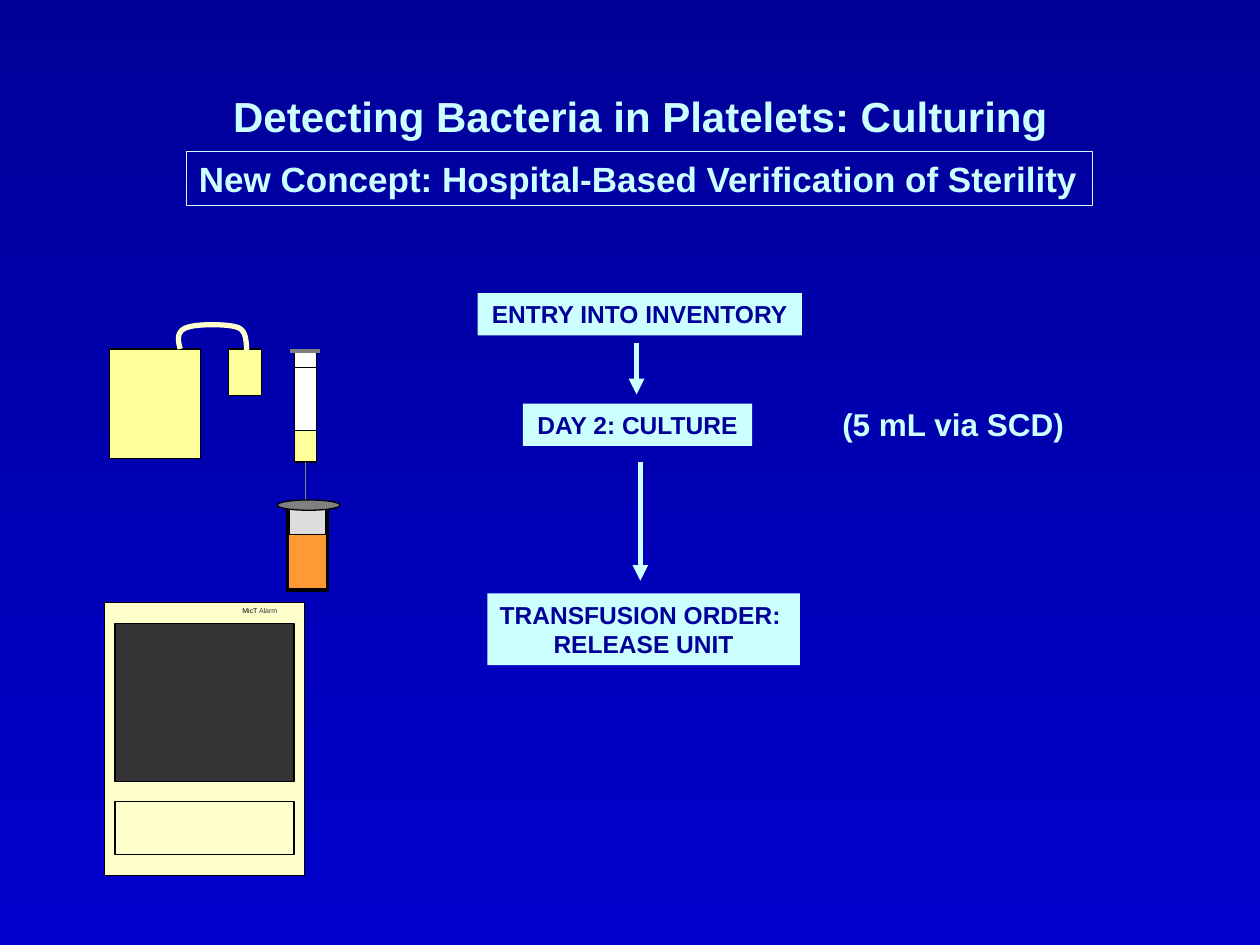
from dataclasses import dataclass

from lxml.etree import SubElement
from pptx import Presentation
from pptx.dml.color import RGBColor
from pptx.enum.shapes import MSO_CONNECTOR as Connector, MSO_SHAPE as Shape
from pptx.enum.text import MSO_ANCHOR as Anchor, PP_ALIGN as Align
from pptx.oxml.ns import qn
from pptx.util import Pt


@dataclass(frozen=True)
class Theme:
    font: str = "Arial"
    night: str = "000099"
    blue: str = "0000CC"
    ice: str = "CCFFFF"
    black: str = "000000"
    white: str = "FFFFFF"
    screen: str = "333333"
    metal: str = "808080"
    glass: str = "DDDDDD"
    broth: str = "FF9933"
    cream: str = "FFFFCC"
    platelets: str = "FFFF99"
    title_size: float = 24
    subtitle_size: float = 20
    note_size: float = 18
    step_size: float = 14
    brand_size: float = 4


theme = Theme()
rgb = RGBColor.from_string

deck = Presentation()
deck.slide_width, deck.slide_height = Pt(720), Pt(540)
page = deck.slides.add_slide(deck.slide_layouts[5])
backdrop = page.background.fill
backdrop.gradient()
backdrop.gradient_angle = 270
for stop, position, color in zip(backdrop.gradient_stops, (0, 1), (theme.night, theme.blue)):
    stop.position = position
    stop.color.rgb = rgb(color)


def write(box, lines, size, color, bold=True, align=Align.LEFT):
    frame = box.text_frame
    frame.text = "\n".join(lines)
    frame.word_wrap = False
    frame.vertical_anchor = Anchor.TOP
    for para in frame.paragraphs:
        para.alignment = align
        para.font.name = theme.font
        para.font.size = Pt(size)
        para.font.bold = bold
        para.font.color.rgb = rgb(color)


def draw(kind, bounds, fill=None, line=theme.black, weight=0.75):
    shape = page.shapes.add_shape(kind, *map(Pt, bounds))
    shape.shadow.inherit = False
    if fill:
        shape.fill.solid()
        shape.fill.fore_color.rgb = rgb(fill)
    else:
        shape.fill.background()
    if line:
        shape.line.color.rgb = rgb(line)
        shape.line.width = Pt(weight)
    else:
        shape.line.fill.background()
    return shape


# Headings and note
title = page.shapes.title
title.left, title.top, title.width, title.height = map(Pt, (126, 48.24, 490, 36))
write(title, ["Detecting Bacteria in Platelets: Culturing"], theme.title_size, theme.ice)

subtitle = draw(Shape.RECTANGLE, (106.56, 86.4, 517.68, 31.2), line=theme.ice)
write(subtitle, ["New Concept: Hospital-Based Verification of Sterility"],
      theme.subtitle_size, theme.ice)

note = page.shapes.add_textbox(*map(Pt, (474.25, 227.75, 141.12, 28.8)))
write(note, ["(5 mL via SCD)"], theme.note_size, theme.ice)

# Culture instrument, syringe and platelet bags
barrel_left, barrel_width = 168.25, 12.5
for bounds, fill in [
    ((59.76, 344.16, 114.24, 156.24), theme.cream),
    ((65.75, 356.4, 102.25, 90), theme.screen),
    ((65.75, 457.9, 102.25, 30.25), None),
    ((barrel_left, 201, barrel_width, 54), theme.white),
    ((barrel_left, 210, barrel_width, 54), theme.white),
    ((62.64, 199.44, 51.84, 62.64), theme.platelets),
    ((130.75, 199.44, 18.75, 26.64), theme.platelets),
]:
    draw(Shape.RECTANGLE, bounds, fill)
sample = draw(Shape.RECTANGLE, (barrel_left, 246, barrel_width, 18), theme.platelets)

brand = page.shapes.add_textbox(*map(Pt, (131.5, 343, 41, 12.24)))
write(brand, ["MicT"], theme.brand_size, theme.black, bold=False)
span = brand.text_frame.paragraphs[0].add_run()
span.text = " Alarm"
span.font.color.rgb = rgb(theme.screen)

# Flow steps
for bounds, lines in [
    ((272.9, 167.5, 185.3, 24.25), ["ENTRY INTO INVENTORY"]),
    ((298.8, 230.6, 131, 24.25), ["DAY 2: CULTURE"]),
    ((278.5, 339.1, 178.6, 41), ["TRANSFUSION ORDER: ", "RELEASE UNIT"]),
]:
    step = draw(Shape.RECTANGLE, bounds, theme.ice, line=None)
    write(step, lines, theme.step_size, theme.night, align=Align.CENTER)

# Plunger, needle and flow arrows
needle_x = barrel_left + barrel_width / 2
for ends, color, weight, start_shape, arrow in [
    ((165.6, 200.75, 183, 200.75), theme.metal, 2.25, None, False),
    ((needle_x, 264, needle_x, 296.64), theme.metal, 0.75, sample, False),
    ((363.75, 195.84, 363.75, 225.4), theme.ice, 3, None, True),
    ((365.9, 264, 365.9, 331.9), theme.ice, 3, None, True),
]:
    connector = page.shapes.add_connector(Connector.STRAIGHT, *map(Pt, ends))
    connector.line.color.rgb = rgb(color)
    connector.line.width = Pt(weight)
    if start_shape:
        connector.begin_connect(start_shape, 2)
    if arrow:
        SubElement(connector.line._get_or_add_ln(), qn("a:tailEnd"), type="triangle")
    SubElement(connector._element.spPr, qn("a:effectLst"))

# Culture bottle, in front of the needle
draw(Shape.RECTANGLE, (164.4, 289.44, 22.5, 47.5), theme.glass, weight=2.25)
draw(Shape.RECTANGLE, (165, 305.3, 21.5, 31), theme.broth, weight=0.25)
draw(Shape.OVAL, (158.4, 285.7, 36, 5.9), theme.metal)

# Tube between the bags, sampled from three Bézier curves
curves = [
    ((103, 199.4), (101.5, 194.4), (100.8, 189.4), (106.6, 187.2)),
    ((106.6, 187.2), (112.3, 185), (130.3, 185), (136.1, 187.2)),
    ((136.1, 187.2), (141.8, 189.4), (140.4, 198.7), (141.1, 200.9)),
]
samples = 10
points = []
for curve in curves:
    for t in (index / samples for index in range(1, samples + 1)):
        weights = ((1 - t) ** 3, 3 * t * (1 - t) ** 2, 3 * t ** 2 * (1 - t), t ** 3)
        points.append([Pt(sum(w * point[axis] for w, point in zip(weights, curve)))
                       for axis in (0, 1)])
builder = page.shapes.build_freeform(*map(Pt, curves[0][0]))
builder.add_line_segments(points, close=False)
tube = builder.convert_to_shape()
tube.shadow.inherit = False
tube.fill.background()
tube.line.color.rgb = rgb(theme.cream)
tube.line.width = Pt(3)

deck.save("out.pptx")
